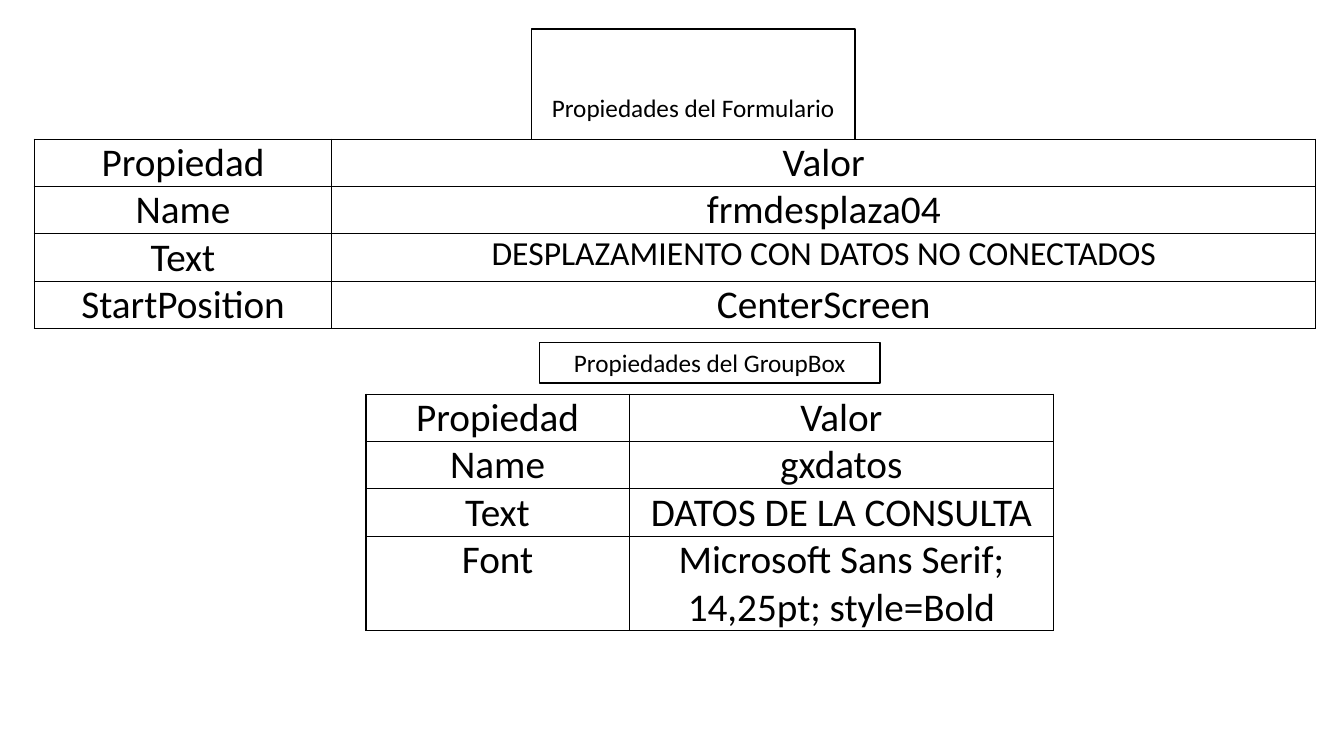
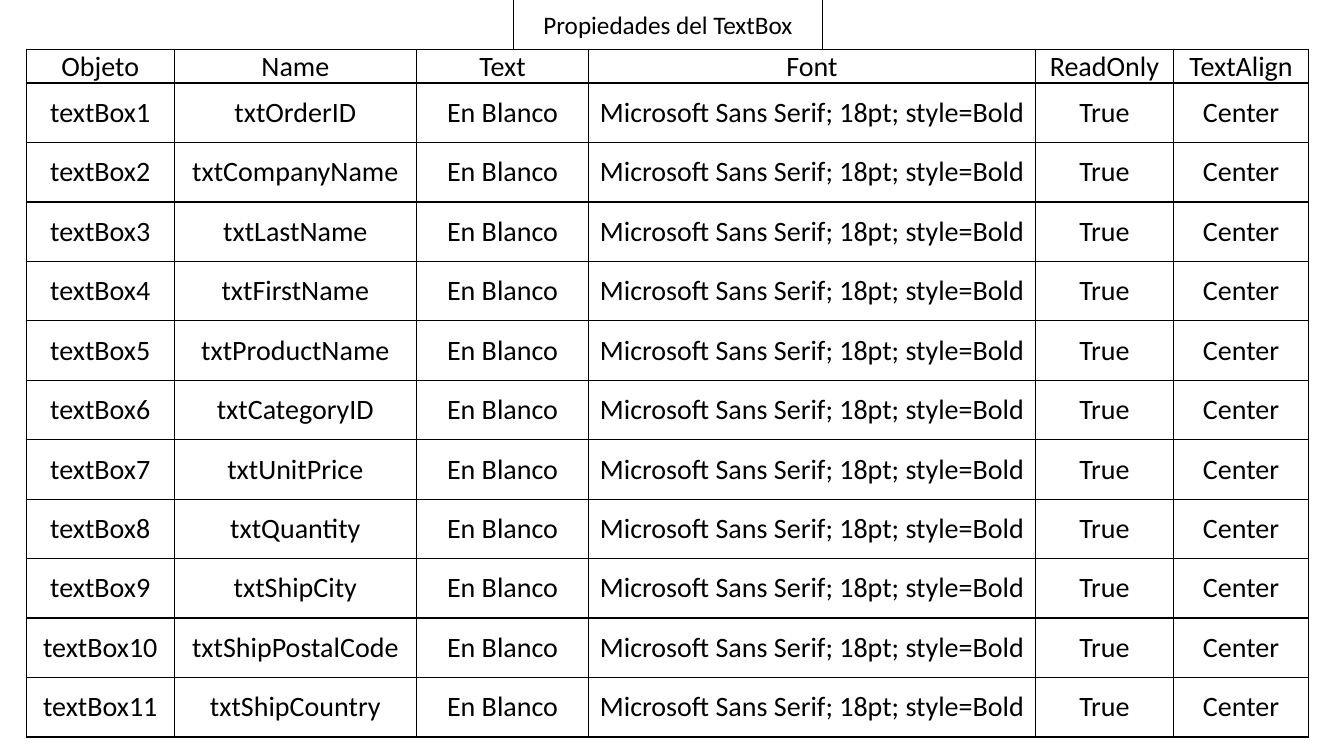
from dataclasses import dataclass, field

import pptx
import pptx.dml.color
import pptx.enum.shapes
import pptx.enum.text
import pptx.oxml
import pptx.oxml.ns
import pptx.util

Inches = pptx.util.Inches
MIDDLE = pptx.enum.text.MSO_ANCHOR.MIDDLE
TOP = pptx.enum.text.MSO_ANCHOR.TOP

# Shared look
FONT = "Calibri"
INK = "000000"
PAPER = "FFFFFF"
LINE_PT = 1
CAPTION_PT = 18
CAPTION_HEIGHT = 0.4
CELL_INSET = 0.07
TITLE_ONLY = 5


@dataclass
class Caption:
    text: str
    left: float
    top: float
    width: float


@dataclass
class Grid:
    left: float
    top: float
    widths: list[float]
    heights: list[float]
    rows: list[list[str]]
    size: int
    anchor: pptx.enum.text.MSO_ANCHOR = TOP
    sizes: dict[str, int] = field(default_factory=dict)  # exceptions by cell text


@dataclass
class Section:
    caption: Caption
    grid: Grid


def rgb(color: str) -> pptx.dml.color.RGBColor:
    return pptx.dml.color.RGBColor.from_string(color)


def set_text(tf, text: str, size: int) -> None:
    """Write one centred paragraph in the shared font."""
    tf.text = text
    p = tf.paragraphs[0]
    p.alignment = pptx.enum.text.PP_ALIGN.CENTER
    font = p.runs[0].font
    font.name = FONT
    font.size = pptx.util.Pt(size)
    font.bold = False
    font.color.rgb = rgb(INK)


def add_caption(slide, caption: Caption, is_title: bool) -> None:
    """Put a caption in the title placeholder or in a matching rectangle."""
    box = [Inches(v) for v in (caption.left, caption.top, caption.width, CAPTION_HEIGHT)]
    if is_title:
        sp = slide.shapes.title
        sp.left, sp.top, sp.width, sp.height = box
    else:
        sp = slide.shapes.add_shape(pptx.enum.shapes.MSO_SHAPE.RECTANGLE, *box)
        sp.shadow.inherit = False
    sp.fill.solid()
    sp.fill.fore_color.rgb = rgb(PAPER)
    sp.line.color.rgb = rgb(INK)
    sp.line.width = pptx.util.Pt(LINE_PT)
    tf = sp.text_frame
    tf.word_wrap = True
    tf.auto_size = pptx.enum.text.MSO_AUTO_SIZE.SHAPE_TO_FIT_TEXT
    tf.vertical_anchor = MIDDLE
    set_text(tf, caption.text, CAPTION_PT)


def add_borders(cell) -> None:
    """Draw all four edges of a cell."""
    tc_pr = cell._tc.get_or_add_tcPr()
    for edge in ("lnL", "lnR", "lnT", "lnB"):
        tc_pr.append(pptx.oxml.parse_xml(
            f'<a:{edge} {pptx.oxml.ns.nsdecls("a")} w="{pptx.util.Pt(LINE_PT)}">'
            f'<a:solidFill><a:srgbClr val="{INK}"/></a:solidFill></a:{edge}>'))


def add_grid(slide, grid: Grid) -> None:
    table = slide.shapes.add_table(
        len(grid.rows), len(grid.widths), Inches(grid.left), Inches(grid.top),
        Inches(sum(grid.widths)), Inches(sum(grid.heights))).table
    table.first_row = False
    table.horz_banding = False
    for column, width in zip(table.columns, grid.widths):
        column.width = Inches(width)
    for row, height, texts in zip(table.rows, grid.heights, grid.rows):
        row.height = Inches(height)
        for cell, text in zip(row.cells, texts):
            add_borders(cell)
            cell.fill.solid()
            cell.fill.fore_color.rgb = rgb(PAPER)
            cell.margin_left = cell.margin_right = Inches(CELL_INSET)
            cell.margin_top = cell.margin_bottom = 0
            cell.vertical_anchor = grid.anchor
            set_text(cell.text_frame, text, grid.sizes.get(text, grid.size))


def add_slide(prs, sections: list[Section]) -> None:
    slide = prs.slides.add_slide(prs.slide_layouts[TITLE_ONLY])
    for i, section in enumerate(sections):
        add_caption(slide, section.caption, is_title=i == 0)
        add_grid(slide, section.grid)


# Form and group box properties
PROPERTY_HEADER = ["Propiedad", "Valor"]
FORM_TEXT = "DESPLAZAMIENTO CON DATOS NO CONECTADOS"
FORM = Section(
    Caption("Propiedades del Formulario", 5.27, 0.87, 3.21),
    Grid(0.34, 1.38, [2.95, 9.76], [0.47] * 4, [
        PROPERTY_HEADER,
        ["Name", "frmdesplaza04"],
        ["Text", FORM_TEXT],
        ["StartPosition", "CenterScreen"],
    ], size=28, sizes={FORM_TEXT: 24}))
GROUP_BOX = Section(
    Caption("Propiedades del GroupBox", 5.35, 3.4, 3.38),
    Grid(3.63, 3.91, [2.61, 4.21], [0.47] * 3 + [0.94], [
        PROPERTY_HEADER,
        ["Name", "gxdatos"],
        ["Text", "DATOS DE LA CONSULTA"],
        ["Font", "Microsoft Sans Serif; 14,25pt; style=Bold"],
    ], size=28))

# Text box properties: only the name changes from row to row
FIELDS = ["OrderID", "CompanyName", "LastName", "FirstName", "ProductName", "CategoryID",
          "UnitPrice", "Quantity", "ShipCity", "ShipPostalCode", "ShipCountry"]
COMMON_VALUES = ["En Blanco", "Microsoft Sans Serif; 18pt; style=Bold", "True", "Center"]
TEXT_BOXES = Section(
    Caption("Propiedades del TextBox", 5.09, 0.04, 3.07),
    Grid(0.26, 0.49, [1.47, 2.4, 1.71, 4.43, 1.37, 1.34], [0.33] + [0.59] * len(FIELDS), [
        ["Objeto", "Name", "Text", "Font", "ReadOnly", "TextAlign"],
        *([f"textBox{n}", f"txt{name}", *COMMON_VALUES] for n, name in enumerate(FIELDS, 1)),
    ], size=20, anchor=MIDDLE))


def main() -> None:
    prs = pptx.Presentation()
    prs.slide_width = Inches(13.33)
    prs.slide_height = Inches(7.5)
    for sections in ([FORM, GROUP_BOX], [TEXT_BOXES]):
        add_slide(prs, sections)
    prs.save("out.pptx")


if __name__ == "__main__":
    main()
